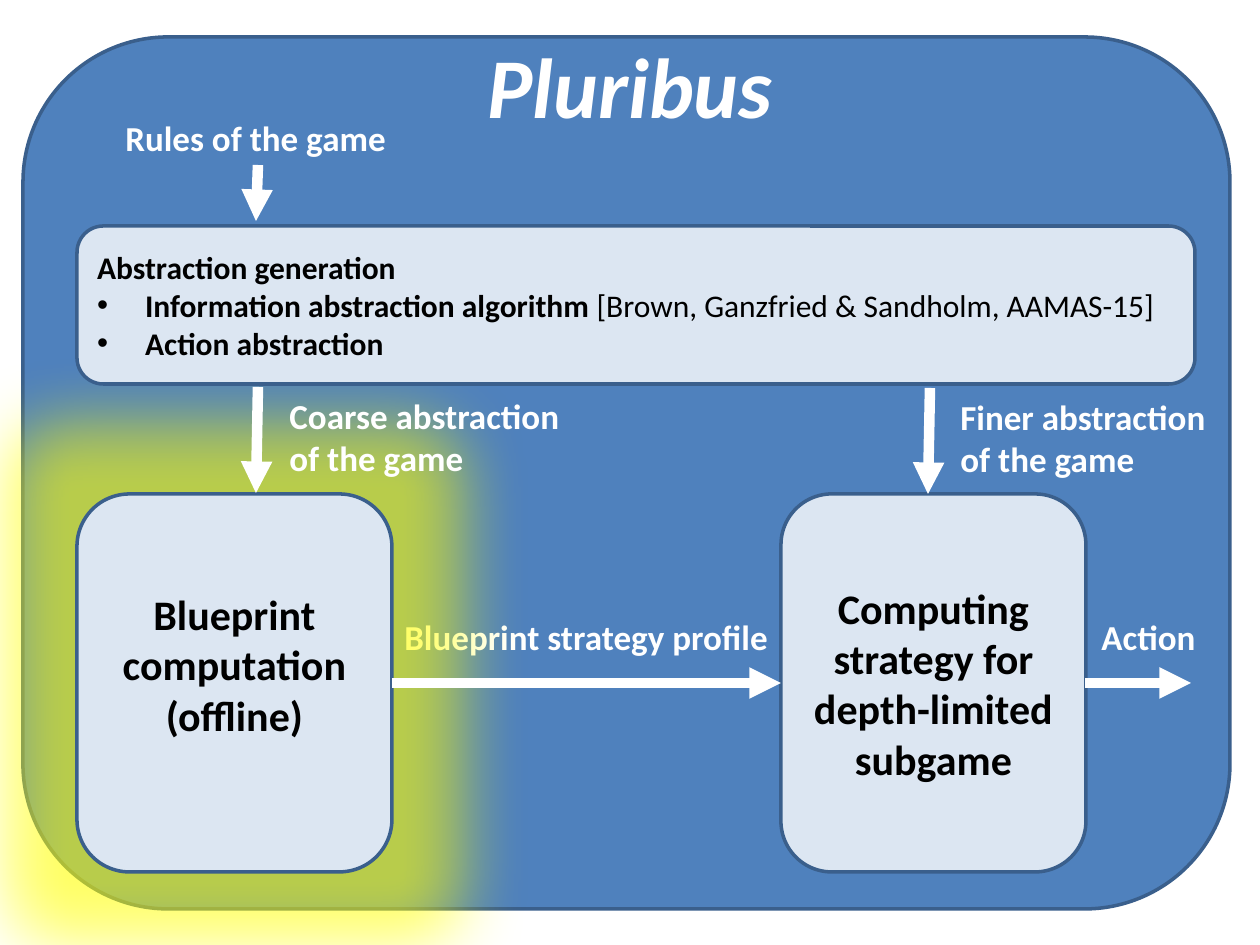
from pptx import Presentation
from pptx.dml.color import RGBColor
from pptx.enum.shapes import MSO_CONNECTOR, MSO_SHAPE
from pptx.enum.text import MSO_ANCHOR, MSO_AUTO_SIZE, PP_ALIGN
from pptx.oxml.ns import qn
from pptx.util import Pt
from lxml.etree import SubElement

SCALE = 914400 / 126
HUES = {"blue": "4F81BD", "edge": "3A5F8C", "pale": "DCE6F2",
        "white": "FFFFFF", "black": "000000", "glow": "FFFF00"}

HEAD = {"size": Pt(48.6), "bold": True, "italic": True}
LABEL = {"size": Pt(20), "bold": True}
STEP = {"size": Pt(24), "bold": True}
NOTE = {"size": Pt(18), "bold": True}
CITE = {"size": Pt(18), "bold": False}


def px(num):
    return round(num * SCALE)


def hue(name):
    return RGBColor.from_string(HUES[name])


def add_run(para, text, form, color):
    run = para.add_run()
    run.text = text
    run.font.name = "Calibri"
    run.font.color.rgb = hue(color)
    for key, value in form.items():
        setattr(run.font, key, value)


def write(frame, lines, form, color, align):
    for i, line in enumerate(lines):
        para = frame.paragraphs[0] if i == 0 else frame.add_paragraph()
        para.alignment = align
        add_run(para, line, form, color)


def add_panel(slide, area, fill):
    box = slide.shapes.add_shape(MSO_SHAPE.ROUNDED_RECTANGLE, *map(px, area))
    box.shadow.inherit = False
    box.fill.solid()
    box.fill.fore_color.rgb = hue(fill)
    box.line.color.rgb = hue("edge")
    box.line.width = Pt(2)
    box.text_frame.word_wrap = True
    box.text_frame.vertical_anchor = MSO_ANCHOR.MIDDLE
    return box


def add_step(slide, area, lines):
    box = add_panel(slide, area, "pale")
    write(box.text_frame, lines, STEP, "black", PP_ALIGN.CENTER)
    return box


def add_label(slide, area, lines):
    frame = slide.shapes.add_textbox(*map(px, area)).text_frame
    frame.word_wrap = False
    frame.auto_size = MSO_AUTO_SIZE.SHAPE_TO_FIT_TEXT
    write(frame, lines, LABEL, "white", PP_ALIGN.LEFT)


def add_title(slide, area, text):
    frame = slide.shapes.add_textbox(*map(px, area)).text_frame
    frame.word_wrap = True
    frame.vertical_anchor = MSO_ANCHOR.MIDDLE
    write(frame, [text], HEAD, "white", PP_ALIGN.CENTER)


def add_arrow(slide, ends):
    line = slide.shapes.add_connector(MSO_CONNECTOR.STRAIGHT, *map(px, ends))
    line.line.color.rgb = hue("white")
    line.line.width = Pt(6)
    SubElement(line.line._get_or_add_ln(), qn("a:tailEnd"), type="triangle")
    SubElement(line._element.spPr, qn("a:effectLst"))


def add_glow(box, size, alpha):
    effects = box._element.spPr.find(qn("a:effectLst"))
    glow = SubElement(effects, qn("a:glow"), rad=str(Pt(size)))
    color = SubElement(glow, qn("a:srgbClr"), val=HUES["glow"])
    SubElement(color, qn("a:alpha"), val=str(alpha * 1000))


def add_bullet(para):
    props = para._p.get_or_add_pPr()
    props.set("marL", str(px(48)))
    props.set("indent", str(-px(48)))
    SubElement(props, qn("a:buFont"), typeface="Arial")
    SubElement(props, qn("a:buChar"), char="•")


def add_notes(slide, area, head, items):
    frame = add_panel(slide, area, "pale").text_frame
    write(frame, [head], NOTE, "black", PP_ALIGN.LEFT)
    for parts in items:
        para = frame.add_paragraph()
        para.alignment = PP_ALIGN.LEFT
        add_bullet(para)
        for text, form in parts:
            add_run(para, text, form, "black")


def main():
    deck = Presentation()
    deck.slide_width, deck.slide_height = px(1260), px(945)
    slide = deck.slides.add_slide(deck.slide_layouts[6])

    # Backdrop and title
    add_panel(slide, (23, 37, 1207, 872), "blue")
    add_title(slide, (63, 38, 1134, 93), "Pluribus")

    # The label lies under the glow of the blueprint step
    add_label(slide, (392, 609, 392, 55), ["Blueprint strategy profile"])

    # Steps
    add_step(slide, (781, 494, 305, 378),
             ["Computing strategy for depth-limited subgame"])
    plan = add_step(slide, (77, 494, 315, 378),
                    ["Blueprint computation", "(offline)"])
    plan.text_frame.margin_bottom = px(44)
    add_glow(plan, 80, 60)
    add_notes(slide, (77, 226, 1118, 158), "Abstraction generation", [
        [("Information abstraction algorithm ", NOTE),
         ("[Brown, Ganzfried & Sandholm, AAMAS-15]", CITE)],
        [("Action abstraction", NOTE)]])

    # Flow
    for ends in [(258, 165, 256, 221), (258, 387, 256, 493),
                 (930, 388, 928, 494), (392, 683, 781, 683),
                 (1085, 683, 1191, 683)]:
        add_arrow(slide, ends)

    # Flow labels
    for area, lines in [
            ((113, 110, 289, 55), ["Rules of the game"]),
            ((277, 388, 297, 97), ["Coarse abstraction", "of the game"]),
            ((948, 389, 281, 97), ["Finer abstraction", "of the game"]),
            ((1089, 609, 121, 55), ["Action"])]:
        add_label(slide, area, lines)

    deck.save("out.pptx")


if __name__ == "__main__":
    main()
